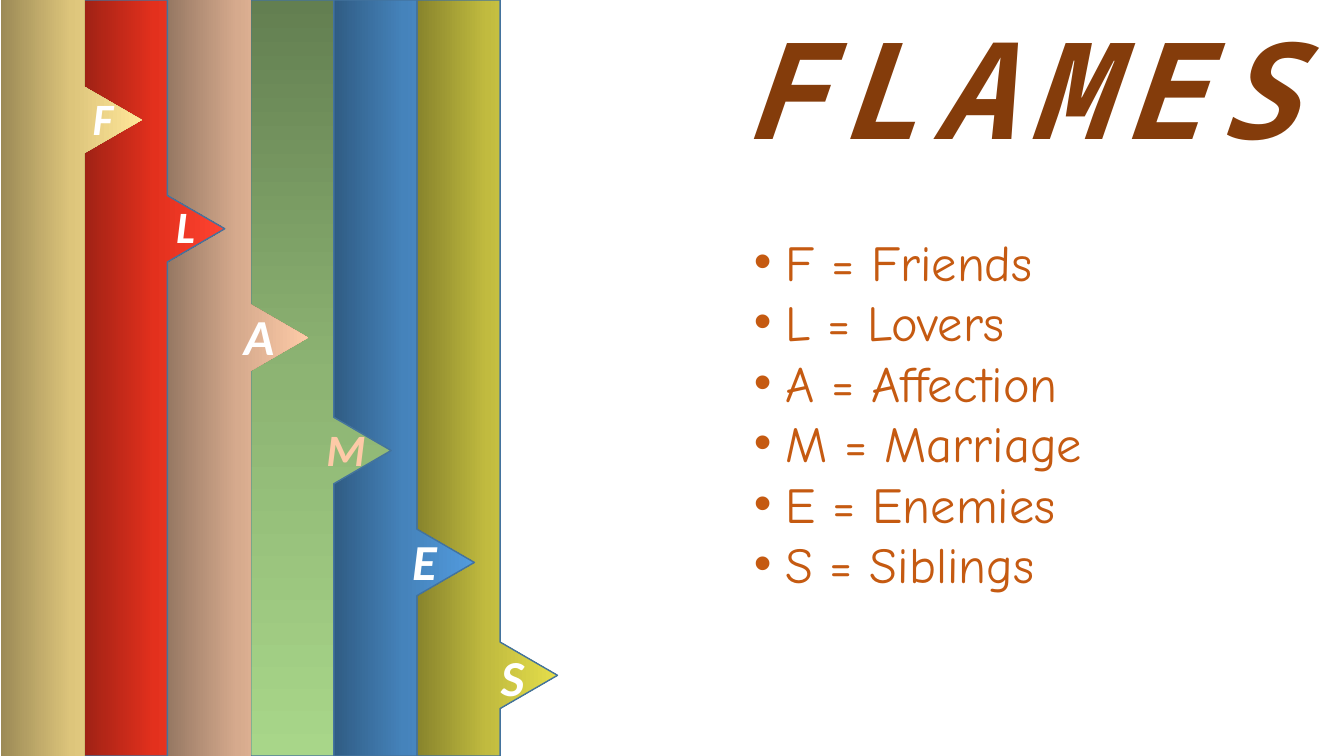
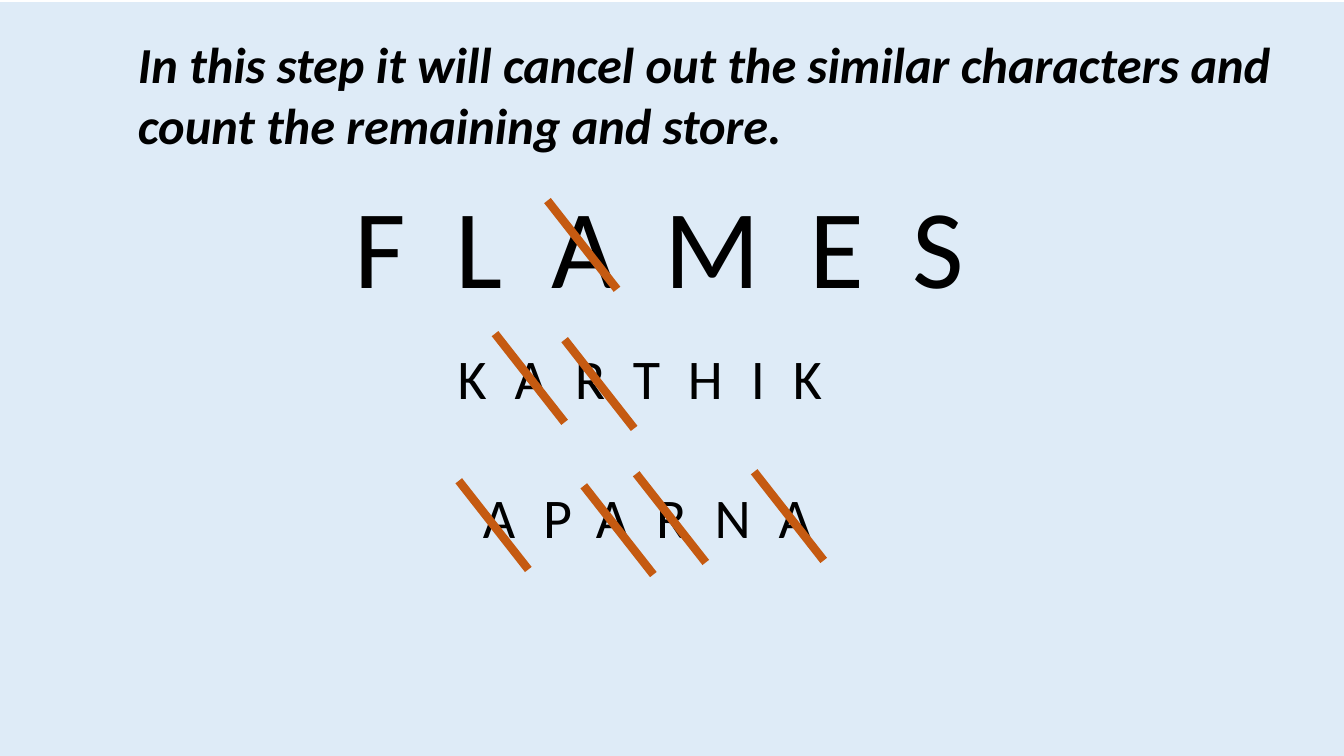
import copy
import dataclasses

import pptx
import pptx.dml.color
import pptx.enum.shapes
import pptx.oxml.ns
import pptx.util
from pptx.util import Inches

qn = pptx.oxml.ns.qn


@dataclasses.dataclass(frozen=True)
class Theme:
    body_font: str = "Calibri"
    title_font: str = "Noto Sans Mono"
    list_font: str = "Comic Neue"
    white: str = "FFFFFF"
    black: str = "000000"
    brown: str = "843C0B"
    orange: str = "C55A11"
    peach: str = "FDCAA7"
    pale_blue: str = "DEEBF7"
    band_line: str = "43739E"
    title_size: int = 96
    word_size: int = 80
    name_size: int = 40
    text_size: int = 36
    small_letter_size: int = 32
    strike_width: int = 6


THEME = Theme()

BAND_LEFT, BAND_WIDTH, BAND_HEIGHT = 0.01, 0.825, 7.5
POINTER_LENGTH, POINTER_HALF = 0.57, 0.33
STRIKE_WIDTH, STRIKE_HEIGHT = 0.69, 0.88

# Pointer tip height, gradient colours, outlined, gradient angle
BANDS = [
    (1.19, ("9C8A56", "DDC57B", "FFE699"), False, 0),
    (2.27, ("A02215", "E3301D", "FF4431"), True, 0),
    (3.35, ("967863", "D6AA8D", "FDCAA7"), False, 0),
    (4.47, ("637F51", "8DB473", "A8D689"), True, 270),
    (5.58, ("305C84", "4583BB", "529BDE"), True, 0),
    (6.70, ("88842C", "C1BB3F", "E5DE4B"), True, 0),
]
# Letter, left, top, size, colour
BAND_LETTERS = [
    ("F", 0.82, 0.85, THEME.small_letter_size, THEME.white),
    ("L", 1.65, 1.92, THEME.small_letter_size, THEME.white),
    ("A", 2.32, 2.98, THEME.text_size, THEME.white),
    ("M", 3.14, 4.13, THEME.small_letter_size, THEME.peach),
    ("E", 3.99, 5.21, THEME.text_size, THEME.white),
    ("S", 4.87, 6.36, THEME.text_size, THEME.white),
]
MEANINGS = ["F = Friends", "L = Lovers", "A = Affection",
            "M = Marriage", "E = Enemies", "S = Siblings"]
STRIKES = [(5.43, 1.99), (4.91, 3.31), (5.6, 3.37), (4.55, 4.77),
           (5.79, 4.82), (6.31, 4.7), (7.48, 4.68)]


def rgb(value):
    return pptx.dml.color.RGBColor.from_string(value)


def add_text(slide, box, lines, size, color, font=THEME.body_font,
             emphasis=False, spacing=0, bullet=None):
    """Add one paragraph per line; spacing is letter spacing in points."""
    frame = slide.shapes.add_textbox(*map(Inches, box)).text_frame
    frame.word_wrap = True
    for index, line in enumerate(lines):
        paragraph = frame.paragraphs[0] if index == 0 else frame.add_paragraph()
        run = paragraph.add_run()
        run.text = line
        run.font.name = font
        run.font.size = pptx.util.Pt(size)
        run.font.color.rgb = rgb(color)
        run.font.bold = run.font.italic = emphasis
        if spacing:
            run.font._element.set("spc", str(spacing * 100))
        if bullet:
            add_bullet(paragraph, bullet)


def add_bullet(paragraph, character, indent=0.31):
    properties = paragraph._p.get_or_add_pPr()
    properties.set("marL", str(Inches(indent)))
    properties.set("indent", str(-Inches(indent)))
    for tag, name, value in (("a:buFont", "typeface", "Arial"),
                             ("a:buChar", "char", character)):
        element = pptx.oxml.ns.qn(tag)
        properties.append(properties.makeelement(element, {name: value}))


def fill_gradient(shape, colors, angle):
    """Spread the colours evenly over a linear gradient."""
    shape.fill.gradient()
    shape.fill.gradient_angle = angle
    stop_list = shape._element.spPr.find(".//" + qn("a:gsLst"))
    while len(stop_list) < len(colors):
        stop_list.append(copy.deepcopy(stop_list[0]))
    for index, (stop, color) in enumerate(zip(shape.fill.gradient_stops, colors)):
        stop.position = index / (len(colors) - 1)
        stop.color.rgb = rgb(color)


def add_band(slide, index, tip, colors, outlined, angle):
    """Add a full-height band with a pointer on its right edge."""
    left = BAND_LEFT + index * BAND_WIDTH
    right = left + BAND_WIDTH
    points = [(left, 0), (right, 0), (right, tip - POINTER_HALF),
              (right + POINTER_LENGTH, tip), (right, tip + POINTER_HALF),
              (right, BAND_HEIGHT), (left, BAND_HEIGHT)]
    points = [(Inches(x), Inches(y)) for x, y in points]
    builder = slide.shapes.build_freeform(*points[0])
    builder.add_line_segments(points[1:], close=True)
    band = builder.convert_to_shape()
    band.shadow.inherit = False
    fill_gradient(band, colors, angle)
    if outlined:
        band.line.color.rgb = rgb(THEME.band_line)
        band.line.width = pptx.util.Pt(1)
    else:
        band.line.fill.background()


def add_backdrop(slide):
    backdrop = slide.shapes.add_shape(
        pptx.enum.shapes.MSO_SHAPE.RECTANGLE,
        0, Inches(0.02), Inches(13.33), Inches(7.48))
    backdrop.shadow.inherit = False
    backdrop.fill.solid()
    backdrop.fill.fore_color.rgb = rgb(THEME.pale_blue)
    backdrop.line.fill.background()


def add_strike(slide, left, top):
    strike = slide.shapes.add_connector(
        pptx.enum.shapes.MSO_CONNECTOR.STRAIGHT, Inches(left), Inches(top),
        Inches(left + STRIKE_WIDTH), Inches(top + STRIKE_HEIGHT))
    strike.line.color.rgb = rgb(THEME.orange)
    strike.line.width = pptx.util.Pt(THEME.strike_width)
    properties = strike._element.spPr
    properties.append(properties.makeelement(qn("a:effectLst"), {}))


def build_meanings(slide):
    for index, band in reversed(list(enumerate(BANDS))):
        add_band(slide, index, *band)
    for letter, left, top, size, color in BAND_LETTERS:
        add_text(slide, (left, top, 0.8, 0.7), [letter], size, color, emphasis=True)
    add_text(slide, (7.28, 0, 6.05, 1.72), ["FLAMES"], THEME.title_size,
             THEME.brown, THEME.title_font, emphasis=True, spacing=10)
    add_text(slide, (7.38, 2.24, 5.9, 3.74), MEANINGS, THEME.text_size,
             THEME.orange, THEME.list_font, bullet="•")


def build_cancelling(slide):
    add_backdrop(slide)
    add_text(slide, (3.42, 1.7, 6.88, 1.45), ["FLAMES"], THEME.word_size,
             THEME.black, spacing=35)
    for name, left, top in (("KARTHIK", 4.44, 3.36), ("APARNA", 4.69, 4.74)):
        add_text(slide, (left, top, 8.53, 0.77), [name], THEME.name_size,
                 THEME.black, spacing=20)
    for left, top in STRIKES:
        add_strike(slide, left, top)
    add_text(slide, (1.27, 0.28, 12.06, 1.31),
             ["In this step it will cancel out the similar characters and "
              "count the remaining and store."],
             THEME.text_size, THEME.black, emphasis=True)


def main():
    presentation = pptx.Presentation()
    presentation.slide_width = Inches(13.33)
    presentation.slide_height = Inches(7.5)
    blank = presentation.slide_layouts[6]
    for build in (build_meanings, build_cancelling):
        build(presentation.slides.add_slide(blank))
    presentation.save("out.pptx")


if __name__ == "__main__":
    main()
